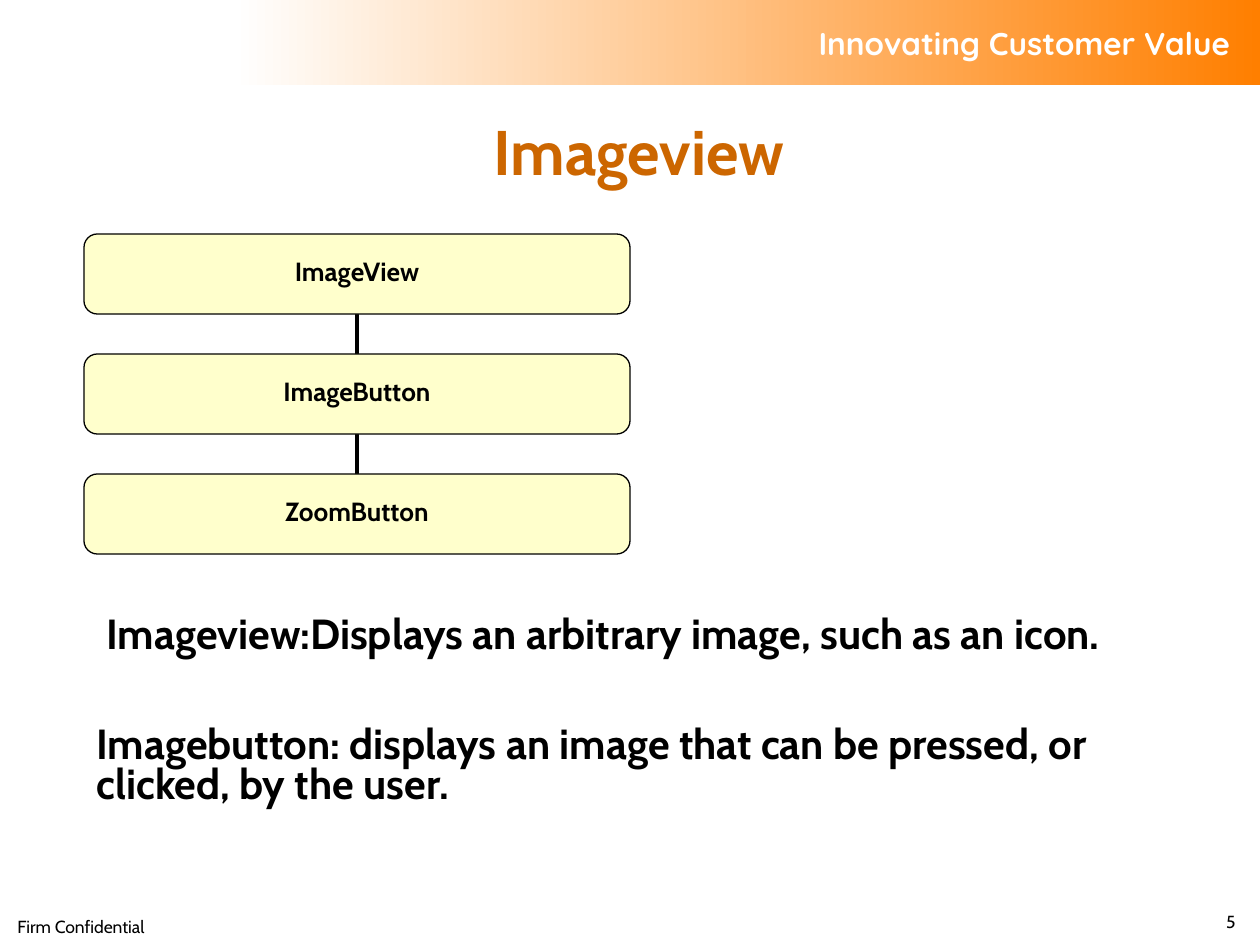
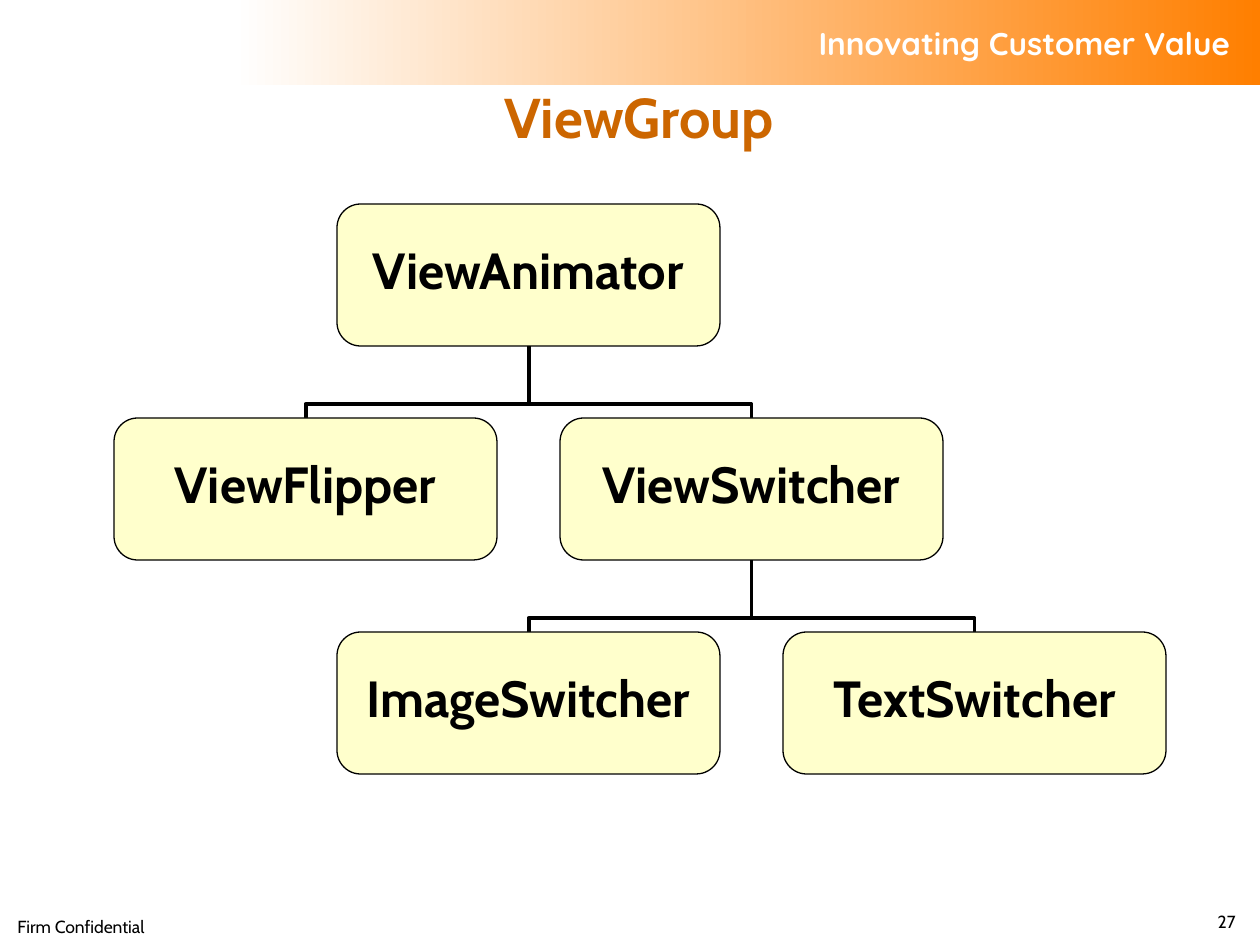
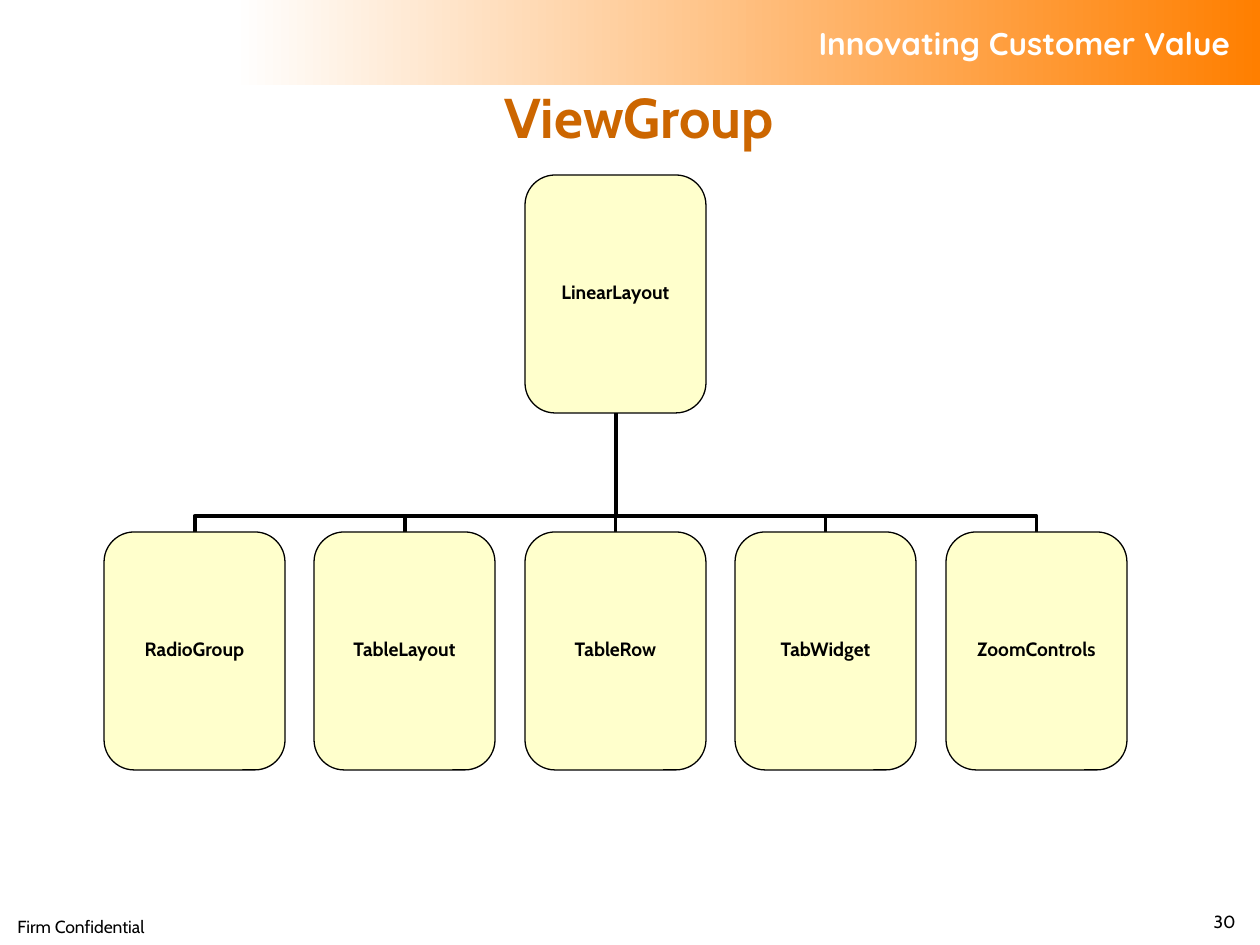
from dataclasses import dataclass

from lxml.etree import SubElement
from pptx import Presentation
from pptx.dml.color import RGBColor
from pptx.enum.shapes import MSO_CONNECTOR, MSO_SHAPE
from pptx.enum.text import MSO_ANCHOR, MSO_AUTO_SIZE, PP_ALIGN
from pptx.oxml.ns import qn
from pptx.util import Emu, Pt


@dataclass(frozen=True)
class Theme:
    face: str = "Cabin"
    brand: str = "Quicksand"
    ink: RGBColor = RGBColor(0, 0, 0)
    white: RGBColor = RGBColor(255, 255, 255)
    band: RGBColor = RGBColor(0xFF, 0x7F, 0x00)
    title: RGBColor = RGBColor(0xCC, 0x66, 0x00)
    node: RGBColor = RGBColor(0xFF, 0xFF, 0xCC)
    slogan: int = 18
    body: int = 24
    foot: int = 10
    edge: float = 0.75
    link: float = 2.25


theme = Theme()
SCALE = 914400 / 126


def px(*nums):
    """Turn pixel lengths into a list of EMU lengths."""
    return [Emu(int(num * SCALE)) for num in nums]


def put(shape, text, size, color=theme.ink, face=theme.face, bold=True,
        align=PP_ALIGN.LEFT, anchor=MSO_ANCHOR.MIDDLE):
    """Write one styled paragraph into a shape and return it."""
    frame = shape.text_frame
    frame.text = text
    frame.word_wrap = True
    frame.auto_size = MSO_AUTO_SIZE.NONE
    frame.vertical_anchor = anchor
    para = frame.paragraphs[0]
    para.alignment = align
    para.font.name = face
    para.font.size = Pt(size)
    para.font.bold = bold
    para.font.color.rgb = color
    return para


# Each node is (label, column, row, parent index); wide spans two columns.
pages = [
    dict(title="Imageview", size=36, drop=6, num="5", font=15, bend=0,
         left=84, top=234, wide=0, high=120, box=(546, 80),
         nodes=[("ImageView", 0, 0, None), ("ImageButton", 0, 1, 0),
                ("ZoomButton", 0, 2, 1)],
         notes=[("Imageview:Displays an arbitrary image, such as an icon.",
                 (94, 611, 1091, 93)),
                ("Imagebutton: displays an image that can be pressed, or "
                 "clicked, by the user.", (84, 721, 1042, 93))]),
    dict(title="ViewGroup", size=32, drop=74, num="27", font=29, bend=14,
         left=114, top=204, wide=446, high=214, box=(383, 142),
         nodes=[("ViewAnimator", 1, 0, None), ("ViewFlipper", 0, 1, 0),
                ("ViewSwitcher", 2, 1, 0), ("ImageSwitcher", 1, 2, 2),
                ("TextSwitcher", 3, 2, 2)],
         notes=[]),
    dict(title="ViewGroup", size=32, drop=74, num="30", font=11, bend=16,
         left=104, top=175, wide=421, high=357, box=(181, 238),
         nodes=[("LinearLayout", 2, 0, None), ("RadioGroup", 0, 1, 0),
                ("TableLayout", 1, 1, 0), ("TableRow", 2, 1, 0),
                ("TabWidget", 3, 1, 0), ("ZoomControls", 4, 1, 0)],
         notes=[]),
]

deck = Presentation()
deck.slide_width, deck.slide_height = px(1260, 945)
layout = deck.slide_layouts[5]
slides = [deck.slides.add_slide(layout) for page in pages]

# The band is built on a slide, then moved to the layout that all slides share.
band = slides[0].shapes.add_shape(MSO_SHAPE.RECTANGLE, *px(233, 0, 1027, 85))
band.shadow.inherit = False
band.line.fill.background()
band.fill.gradient()
band.fill.gradient_angle = 180
for stop, color in zip(band.fill.gradient_stops, (theme.band, theme.white)):
    stop.color.rgb = color
put(band, "Innovating Customer Value", theme.slogan, theme.white, theme.brand,
    align=PP_ALIGN.RIGHT)
band.text_frame.margin_right, = px(30)
layout.shapes.element.insert(2, band.element)

for slide, page in zip(slides, pages):
    shapes = slide.shapes
    title = shapes.title
    title.left, title.top, title.width, title.height = px(80, 95, 1118, 110)
    put(title, page["title"], page["size"], theme.title, align=PP_ALIGN.CENTER)
    title.text_frame.margin_bottom, = px(page["drop"])

    width, height = page["box"]
    nodes = page["nodes"]
    spots = [(page["left"] + col * page["wide"] // 2,
              page["top"] + row * page["high"]) for _, col, row, _ in nodes]

    for (x, y), (*_, parent) in zip(spots, nodes):
        if parent is None:
            continue
        over = spots[parent][0]
        gap = page["high"] - height
        shift = abs(x - over)
        midx, midy = (x + over + width) / 2, y - gap / 2
        if shift:
            # A vertical-first elbow is a horizontal one turned a quarter.
            side = 1 if x > over else -1
            link = shapes.add_connector(MSO_CONNECTOR.ELBOW, *px(
                midx - side * gap / 2, midy + shift / 2,
                midx + side * gap / 2, midy - shift / 2))
            link.rotation = 270 if side > 0 else 90
            guides = link.element.spPr.find(qn("a:prstGeom")).get_or_add_avLst()
            SubElement(guides, qn("a:gd"), name="adj1",
                       fmla=f"val {page['bend'] * 100000 // gap}")
        else:
            link = shapes.add_connector(
                MSO_CONNECTOR.STRAIGHT, *px(midx, y, midx, y - gap))
        link.line.color.rgb = theme.ink
        link.line.width = Pt(theme.link)
        SubElement(link.element.spPr, qn("a:effectLst"))

    for (x, y), (label, *_) in zip(spots, nodes):
        node = shapes.add_shape(MSO_SHAPE.ROUNDED_RECTANGLE,
                                *px(x, y, width, height))
        node.shadow.inherit = False
        node.fill.solid()
        node.fill.fore_color.rgb = theme.node
        node.line.color.rgb = theme.ink
        node.line.width = Pt(theme.edge)
        para = put(node, label, page["font"], align=PP_ALIGN.CENTER)
        para.line_spacing = 0.8
        para.space_before = Pt(page["font"] / 4)
        frame = node.text_frame
        frame.margin_left = frame.margin_right = 0
        frame.margin_top = frame.margin_bottom = 0

    for text, area in page["notes"]:
        note = shapes.add_textbox(*px(*area))
        para = put(note, text, theme.body, anchor=MSO_ANCHOR.TOP)
        para.line_spacing = 0.8
        para.space_before = Pt(15)

    foot = shapes.add_textbox(*px(5, 910, 399, 30))
    put(foot, "Firm Confidential", theme.foot, bold=False,
        anchor=MSO_ANCHOR.TOP)
    num = shapes.add_textbox(*px(996, 908, 252, 30))
    put(num, page["num"], theme.foot, bold=False, align=PP_ALIGN.RIGHT,
        anchor=MSO_ANCHOR.BOTTOM)

deck.save("out.pptx")
